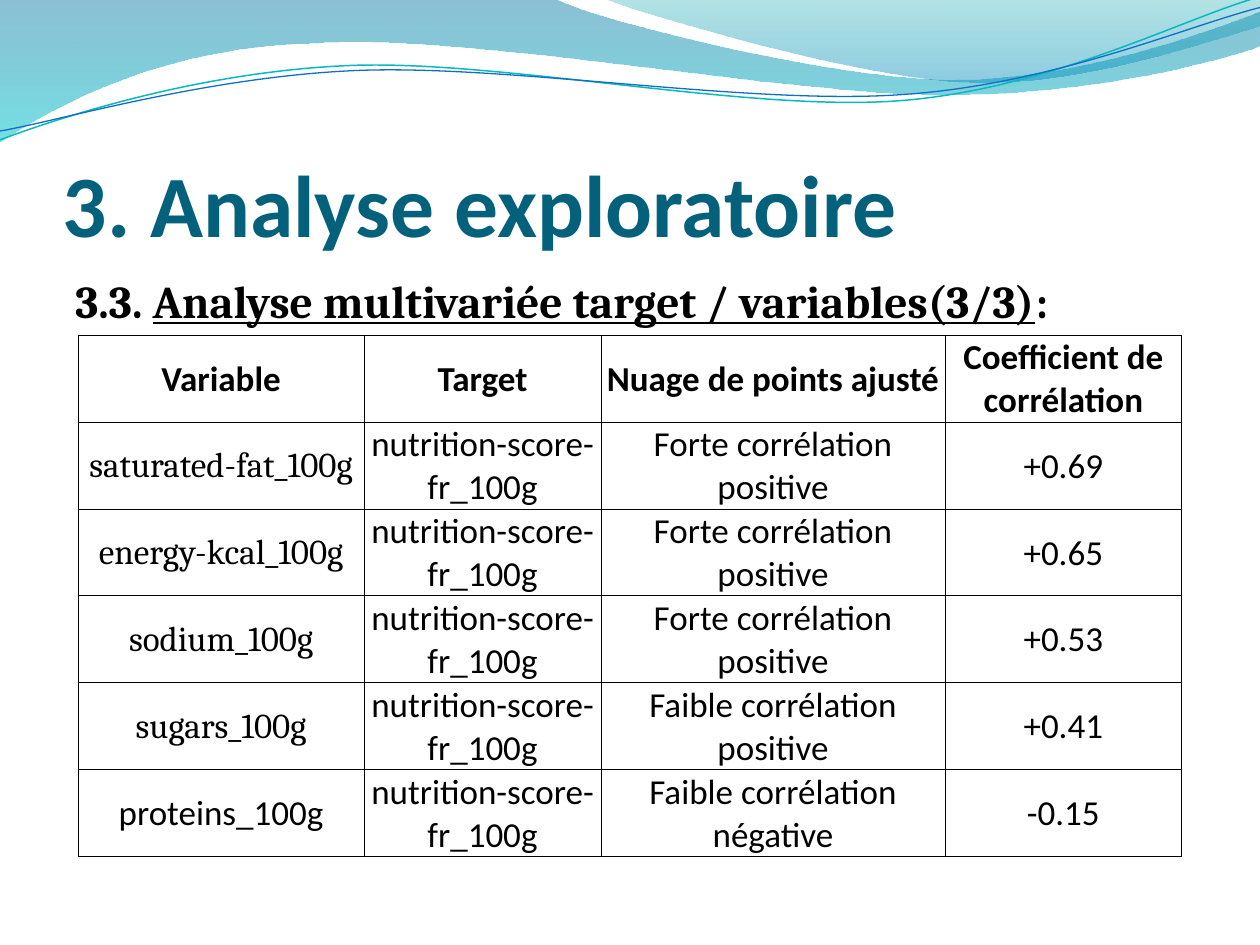
import math

from lxml import etree
from pptx import Presentation
from pptx import util as u
from pptx.dml.color import RGBColor
from pptx.enum import text
from pptx.oxml import ns

BLACK = RGBColor(0x00, 0x00, 0x00)
TITLE = RGBColor(0x04, 0x61, 0x7B)
BLUE = RGBColor(0x00, 0x74, 0xA1)
CYAN = RGBColor(0x00, 0xC6, 0xCF)
TEAL = RGBColor(0x00, 0xA1, 0xA9)
SKY = RGBColor(0x00, 0x8B, 0xBF)
LINE_TEAL = RGBColor(0x0A, 0xB8, 0xBF)
LINE_BLUE = RGBColor(0x0F, 0x6F, 0xC6)

BANDS = [
    ([(0, 0), (4.4, -0.01),
      (4.76, 0.17, 6.64, 0.63, 7.58, 0.63), (8.53, 0.63, 9.58, 0.26, 10, 0.09),
      (10.01, 0.36),
      (9.83, 0.44, 8.7, 0.76, 7.46, 0.75), (6.22, 0.75, 3.82, 0.28, 2.57, 0.34),
      (1.29, 0.36, 0.46, 0.83, -0.01, 1.13), (0, 0)],
     [(BLUE, 45), (CYAN, 55)]),
    ([(4.79, -0.01),
      (5.09, 0.11, 6.82, 0.62, 7.69, 0.65), (8.56, 0.69, 9.61, 0.32, 10, 0.21),
      (10, 0), (4.79, -0.01)],
     [(TEAL, 30), (SKY, 45)]),
]
WAVE_TILT = -2.7
WAVES = [
    ([(0, 1.11), (0.48, 0.93, 1.58, 0.57, 2.77, 0.52),
      (3.95, 0.47, 5.93, 0.89, 7.13, 0.8), (8.33, 0.71, 9.38, 0.15, 9.98, -0.02)],
     (4.99, 0.58), LINE_TEAL, 0.85),
    ([(0, 1.04), (0.47, 0.96, 1.64, 0.61, 2.83, 0.56),
      (4.03, 0.51, 5.97, 0.84, 7.17, 0.75), (8.36, 0.67, 9.41, 0.21, 10, 0.06)],
     (5, 0.59), LINE_BLUE, 0.75),
]

TARGET = "nutrition-score-fr_100g"
HEADERS = ["Variable", "Target", "Nuage de points ajusté", "Coefficient de corrélation"]
CORRELATIONS = [
    ("saturated-fat_100g", "Forte corrélation positive", "+0.69", "Cambria"),
    ("energy-kcal_100g", "Forte corrélation positive", "+0.65", "Cambria"),
    ("sodium_100g", "Forte corrélation positive", "+0.53", "Cambria"),
    ("sugars_100g", "Faible corrélation positive", "+0.41", "Cambria"),
    ("proteins_100g", "Faible corrélation négative", "-0.15", "Calibri"),
]
COLUMNS = [2.27, 1.88, 2.73, 1.88]


def style(r, size, font, color, bold=False, underline=False):
    f = r.font
    f.size, f.name, f.bold, f.underline = u.Pt(size), font, bold, underline
    f.color.rgb = color


def turn(segment, center, degrees):
    cx, cy = center
    c, d = math.cos(math.radians(degrees)), math.sin(math.radians(degrees))
    turned = []
    for x, y in zip(segment[::2], segment[1::2]):
        turned += [cx + (x - cx) * c - (y - cy) * d, cy + (x - cx) * d + (y - cy) * c]
    return turned


def add_outline(s, left, top, segments, close):
    points = [(u.Inches(left + x), u.Inches(top + y))
              for seg in segments for x, y in zip(seg[::2], seg[1::2])]
    builder = s.shapes.build_freeform(*points[0], scale=1.0)
    builder.add_line_segments(points[1:], close=close)
    sp = builder.convert_to_shape()
    sp.shadow.inherit = False
    lines = list(sp._element.iter(ns.qn("a:lnTo")))
    for seg in segments[1:]:
        first, *rest = [lines.pop(0) for _ in range(len(seg) // 2)]
        if rest:
            curve = etree.Element(ns.qn("a:cubicBezTo"))
            first.addprevious(curve)
            for line in (first, *rest):
                curve.append(line[0])
                line.getparent().remove(line)
    return sp


def add_header_waves(s, left, top):
    for segments, stops in BANDS:
        sp = add_outline(s, left, top, segments, True)
        sp.line.fill.background()
        sp.fill.gradient()
        sp.fill.gradient_angle = 270
        for stop, (color, _) in zip(sp.fill.gradient_stops, stops):
            stop.color.rgb = color
        grad = sp._element.spPr.find(ns.qn("a:gradFill"))
        for clr, (_, alpha) in zip(grad.iter(ns.qn("a:srgbClr")), stops):
            etree.SubElement(clr, ns.qn("a:alpha"), val=str(alpha * 1000))
    for segments, center, color, width in WAVES:
        level = [turn(seg, center, -WAVE_TILT) for seg in segments]
        sp = add_outline(s, left, top, level, False)
        sp.rotation = WAVE_TILT
        sp.fill.background()
        sp.line.color.rgb = color
        sp.line.width = u.Pt(width)


def add_text(s, left, top, width, height):
    tf = s.shapes.add_textbox(*map(u.Inches, (left, top, width, height))).text_frame
    tf.word_wrap = True
    return tf


def add_title(s, left, top, width, height):
    tf = add_text(s, left, top, width, height)
    tf.vertical_anchor = text.MSO_ANCHOR.BOTTOM
    tf.margin_left = tf.margin_right = tf.margin_bottom = 0
    p = tf.paragraphs[0]
    p.text = "3. Analyse exploratoire"
    style(p.runs[0], 50, "Calibri", TITLE, bold=True)


def add_subtitle(s, left, top, width, height):
    p = add_text(s, left, top, width, height).paragraphs[0]
    p.space_before = u.Pt(5.2)
    pPr = p._p.get_or_add_pPr()
    pPr.set("marL", str(u.Inches(0.3)))
    pPr.set("indent", str(u.Inches(-0.3)))
    for words, underline in (("3.3. ", False),
                             ("Analyse multivariée target / variables(3/3)", True),
                             (":", False)):
        r = p.add_run()
        r.text = words
        style(r, 26, "Cambria", BLACK, True, underline)


def add_borders(cell):
    tcPr = cell._tc.get_or_add_tcPr()
    for i, side in enumerate(("lnL", "lnR", "lnT", "lnB")):
        ln = etree.Element(ns.qn("a:" + side), w=str(u.Pt(0.5)))
        fill = etree.SubElement(ln, ns.qn("a:solidFill"))
        etree.SubElement(fill, ns.qn("a:srgbClr"), val=str(BLACK))
        tcPr.insert(i, ln)


def add_correlation_table(s, left, top, row_height):
    rows = [HEADERS] + [(name, TARGET, fit, coef) for name, fit, coef, _ in CORRELATIONS]
    table = s.shapes.add_table(
        len(rows), len(COLUMNS), u.Inches(left), u.Inches(top),
        u.Inches(sum(COLUMNS)), u.Inches(row_height * len(rows))).table
    table.first_row = table.horz_banding = False
    for column, width in zip(table.columns, COLUMNS):
        column.width = u.Inches(width)
    for i, row in enumerate(rows):
        for j, words in enumerate(row):
            cell = table.cell(i, j)
            cell.fill.background()
            cell.vertical_anchor = text.MSO_ANCHOR.MIDDLE
            cell.margin_left = cell.margin_right = cell.margin_top = u.Inches(0.01)
            cell.margin_bottom = 0
            p = cell.text_frame.paragraphs[0]
            p.text = words
            p.alignment = text.PP_ALIGN.CENTER
            font = CORRELATIONS[i - 1][3] if i and j == 0 else "Calibri"
            style(p.runs[0], 20, font, BLACK, bold=i == 0)
            add_borders(cell)


prs = Presentation()
prs.slide_width, prs.slide_height = u.Inches(10), u.Inches(7.5)
s = prs.slides.add_slide(prs.slide_layouts[6])
add_header_waves(s, 0, 0)
add_title(s, 0.5, 0.77, 9, 1.25)
add_subtitle(s, 0.5, 2.12, 9, 4.8)
add_correlation_table(s, 0.62, 2.66, 0.69)
prs.save("out.pptx")
